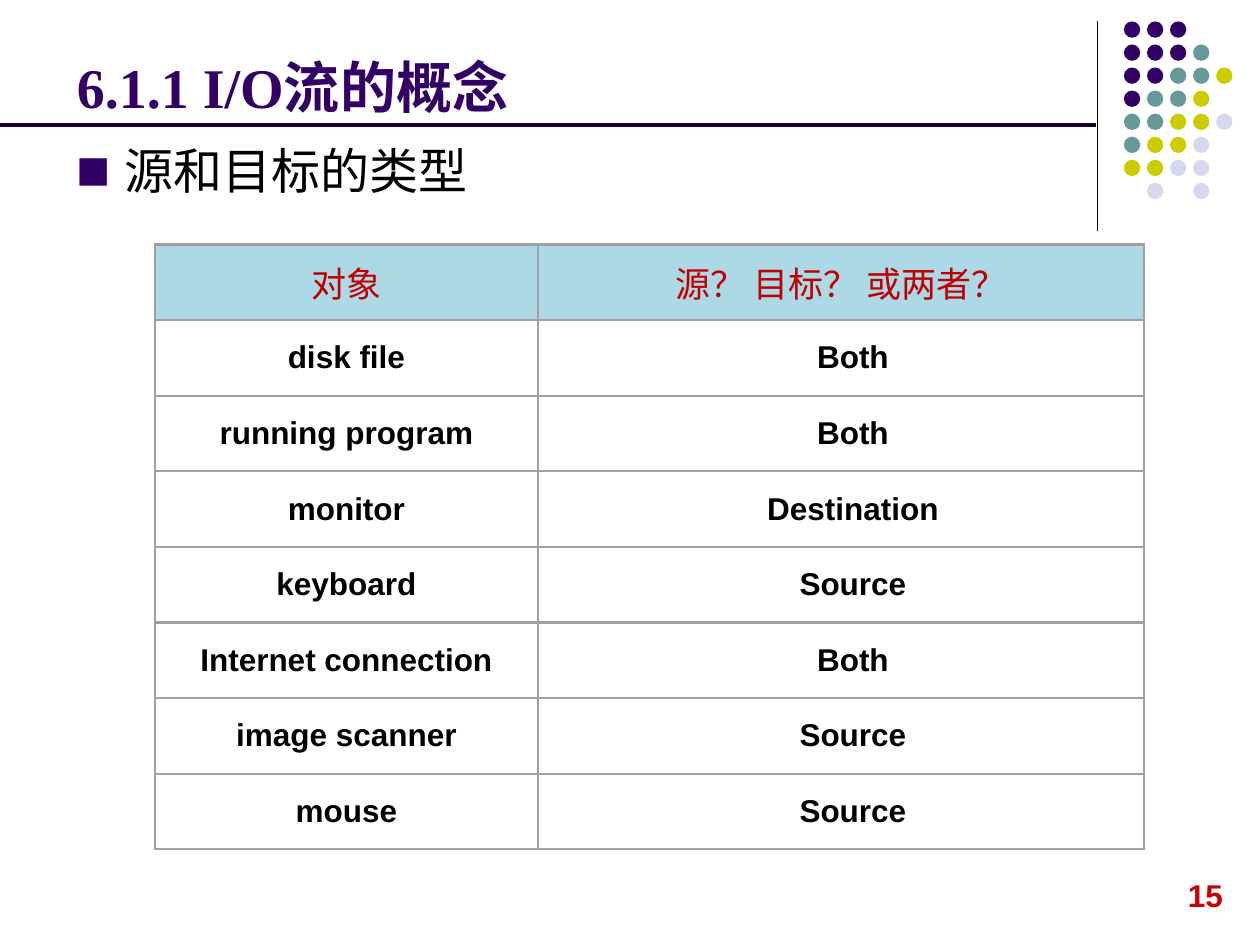
from dataclasses import dataclass
from typing import NamedTuple

from lxml.etree import SubElement
from pptx import Presentation
from pptx.dml.color import RGBColor as Color
from pptx.enum.shapes import MSO_CONNECTOR as Connector, MSO_SHAPE as Shape
from pptx.enum.text import MSO_ANCHOR as Anchor, PP_ALIGN as Align
from pptx.oxml.ns import qn
from pptx.util import Inches, Pt


class TextStyle(NamedTuple):
    size: float
    color: str
    font: str
    bold: bool = False


@dataclass(frozen=True)
class Theme:
    cjk_font: str = "Noto Sans CJK SC"
    purple: str = "330066"
    rule: str = "190033"
    black: str = "000000"
    header_fill: str = "ADD8E6"
    border: str = "A0A0A0"
    title: TextStyle = TextStyle(32, "330066", "Times New Roman", True)
    body: TextStyle = TextStyle(28, "000000", "Noto Sans CJK SC")
    header: TextStyle = TextStyle(20, "C00000", "Noto Sans CJK SC")
    cell: TextStyle = TextStyle(18, "000000", "Arial", True)
    page: TextStyle = TextStyle(18, "CC0000", "Arial", True)


class TableRow(NamedTuple):
    item: str
    role: str


class Border(NamedTuple):
    side: str
    width: float
    compound: str


THEME = Theme()
DOT_COLORS = {"P": "330066", "T": "669999", "Y": "CCCC00", "L": "D8D8EC"}
DOT_ROWS = ["PPP", "PPPT", "PPTTY", "PTTY", "TTYYL", "TYYL", "YYLL", " L L"]
DOT_SIZE, DOT_PITCH = 0.13, 0.183
HEADER = TableRow("对象", "源？ 目标？ 或两者？")
ROWS = [
    TableRow("disk file", "Both"),
    TableRow("running program", "Both"),
    TableRow("monitor", "Destination"),
    TableRow("keyboard", "Source"),
    TableRow("Internet connection", "Both"),
    TableRow("image scanner", "Source"),
    TableRow("mouse", "Source"),
]
COLUMN_WIDTHS = [3.04, 4.81]
ROW_HEIGHT = 0.6
ROLE_INDENT = 0.19
BORDERS = [
    Border("L", 0.75, "sng"),
    Border("R", 0.75, "sng"),
    Border("T", 1.5, "dbl"),
    Border("B", 1.5, "dbl"),
]


def style_paragraph(paragraph, style: TextStyle) -> None:
    """Apply the style, with the CJK font for East Asian characters."""
    font = paragraph.font
    font.size = Pt(style.size)
    font.bold = style.bold
    font.color.rgb = Color.from_string(style.color)
    font.name = style.font
    properties = paragraph._p.pPr.find(qn("a:defRPr"))
    SubElement(properties, qn("a:ea"), typeface=THEME.cjk_font)


def add_line(slide, start: tuple, end: tuple, color: str, width: float) -> None:
    points = [Inches(value) for value in (*start, *end)]
    line = slide.shapes.add_connector(Connector.STRAIGHT, *points)
    line.line.color.rgb = Color.from_string(color)
    line.line.width = Pt(width)
    SubElement(line._element.spPr, qn("a:effectLst"))


def add_dots(slide) -> None:
    for row, codes in enumerate(DOT_ROWS):
        for column, code in enumerate(codes):
            if code == " ":
                continue
            dot = slide.shapes.add_shape(
                Shape.OVAL,
                Inches(8.92 + column * DOT_PITCH), Inches(0.17 + row * DOT_PITCH),
                Inches(DOT_SIZE), Inches(DOT_SIZE),
            )
            dot.shadow.inherit = False
            dot.fill.solid()
            dot.fill.fore_color.rgb = Color.from_string(DOT_COLORS[code])
            dot.line.fill.background()


def set_title(slide, text: str) -> None:
    title = slide.shapes.title
    title.left, title.top = Inches(0.51), Inches(0.21)
    title.width, title.height = Inches(8.25), Inches(0.79)
    frame = title.text_frame
    frame.text = text
    frame.vertical_anchor = Anchor.BOTTOM
    paragraph = frame.paragraphs[0]
    paragraph.alignment = Align.LEFT
    style_paragraph(paragraph, THEME.title)


def add_text(slide, text: str, box: tuple, style: TextStyle, wrap: bool = True):
    text_box = slide.shapes.add_textbox(*[Inches(value) for value in box])
    frame = text_box.text_frame
    frame.word_wrap = wrap
    paragraph = frame.paragraphs[0]
    paragraph.text = text
    style_paragraph(paragraph, style)
    return paragraph


def add_bullet(paragraph) -> None:
    properties = paragraph._p.get_or_add_pPr()
    properties.set("marL", str(Inches(0.38)))
    properties.set("indent", str(-Inches(0.38)))
    bullet_color = SubElement(properties, qn("a:buClr"))
    SubElement(bullet_color, qn("a:srgbClr"), val=THEME.purple)
    SubElement(properties, qn("a:buSzPct"), val="70000")
    SubElement(properties, qn("a:buFont"), typeface=THEME.cjk_font)
    SubElement(properties, qn("a:buChar"), char="■")
    properties.append(properties.find(qn("a:defRPr")))


def add_borders(cell) -> None:
    """Insert the borders ahead of the fill, as the schema requires."""
    properties = cell._tc.get_or_add_tcPr()
    for position, border in enumerate(BORDERS):
        line = SubElement(properties, qn(f"a:ln{border.side}"),
                          w=str(Pt(border.width)), cmpd=border.compound)
        fill = SubElement(line, qn("a:solidFill"))
        SubElement(fill, qn("a:srgbClr"), val=THEME.border)
        properties.insert(position, line)


def fill_cell(cell, text: str, style: TextStyle, indent: float) -> None:
    cell.vertical_anchor = Anchor.MIDDLE
    cell.margin_left = Inches(0.1 + indent)
    paragraph = cell.text_frame.paragraphs[0]
    paragraph.text = text
    paragraph.alignment = Align.CENTER
    style_paragraph(paragraph, style)
    add_borders(cell)


def add_object_table(slide) -> None:
    records = [HEADER, *ROWS]
    table = slide.shapes.add_table(
        len(records), len(COLUMN_WIDTHS), Inches(1.23), Inches(1.94),
        Inches(sum(COLUMN_WIDTHS)), Inches(ROW_HEIGHT * len(records)),
    ).table
    table.horz_banding = False
    for column, width in zip(table.columns, COLUMN_WIDTHS):
        column.width = Inches(width)
    for row_index, record in enumerate(records):
        is_header = row_index == 0
        for column_index, text in enumerate(record):
            cell = table.cell(row_index, column_index)
            if is_header:
                cell.fill.solid()
                cell.fill.fore_color.rgb = Color.from_string(THEME.header_fill)
            else:
                cell.fill.background()
            style = THEME.header if is_header else THEME.cell
            indent = 0 if is_header else ROLE_INDENT * column_index
            fill_cell(cell, text, style, indent)


def main() -> None:
    presentation = Presentation()
    presentation.slide_width, presentation.slide_height = Inches(10), Inches(7.5)
    slide = presentation.slides.add_slide(presentation.slide_layouts[5])
    add_line(slide, (8.71, 0.17), (8.71, 1.83), THEME.black, 0.75)
    add_dots(slide)
    add_text(slide, "15", (9.33, 6.9, 0.48, 0.4), THEME.page, wrap=False)
    set_title(slide, "6.1.1 I/O流的概念")
    add_bullet(add_text(slide, "源和目标的类型", (0.51, 1.07, 8, 0.7), THEME.body))
    add_object_table(slide)
    add_line(slide, (0, 0.99), (8.7, 0.99), THEME.rule, 2.25)
    presentation.save("out.pptx")


if __name__ == "__main__":
    main()
